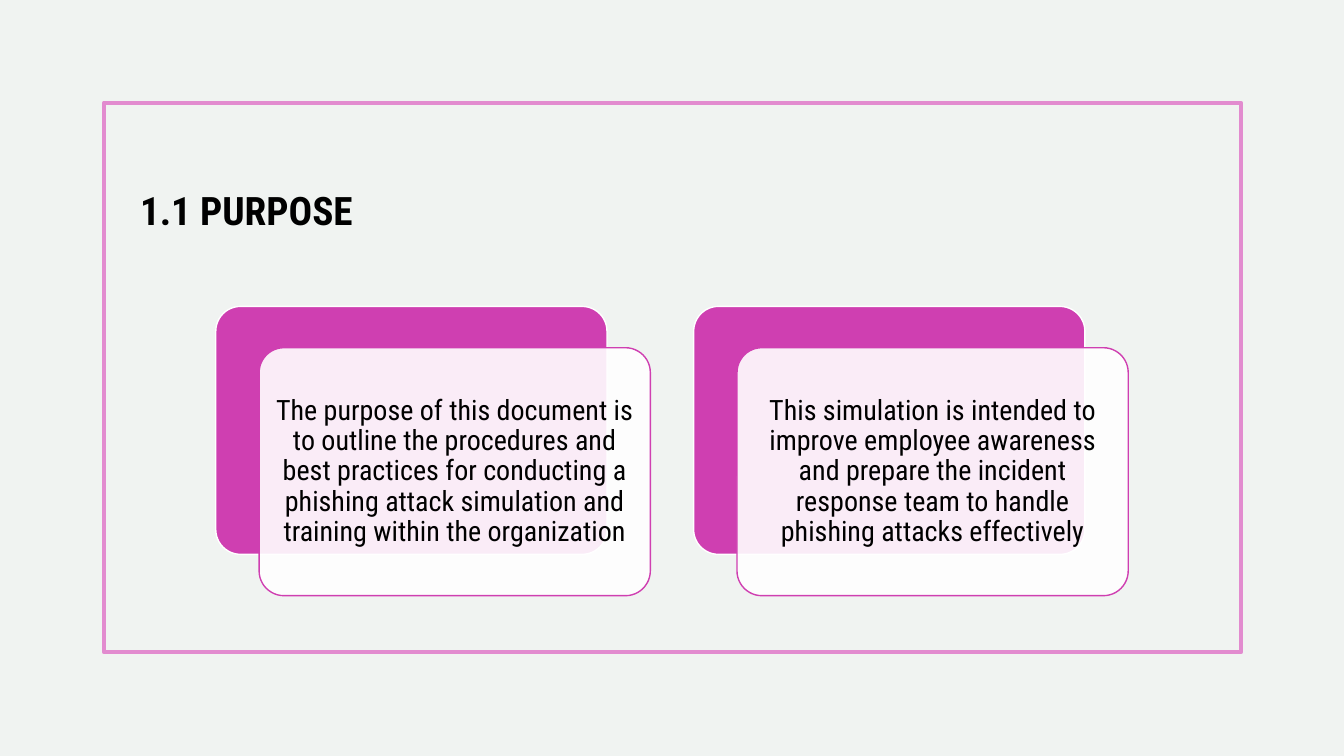
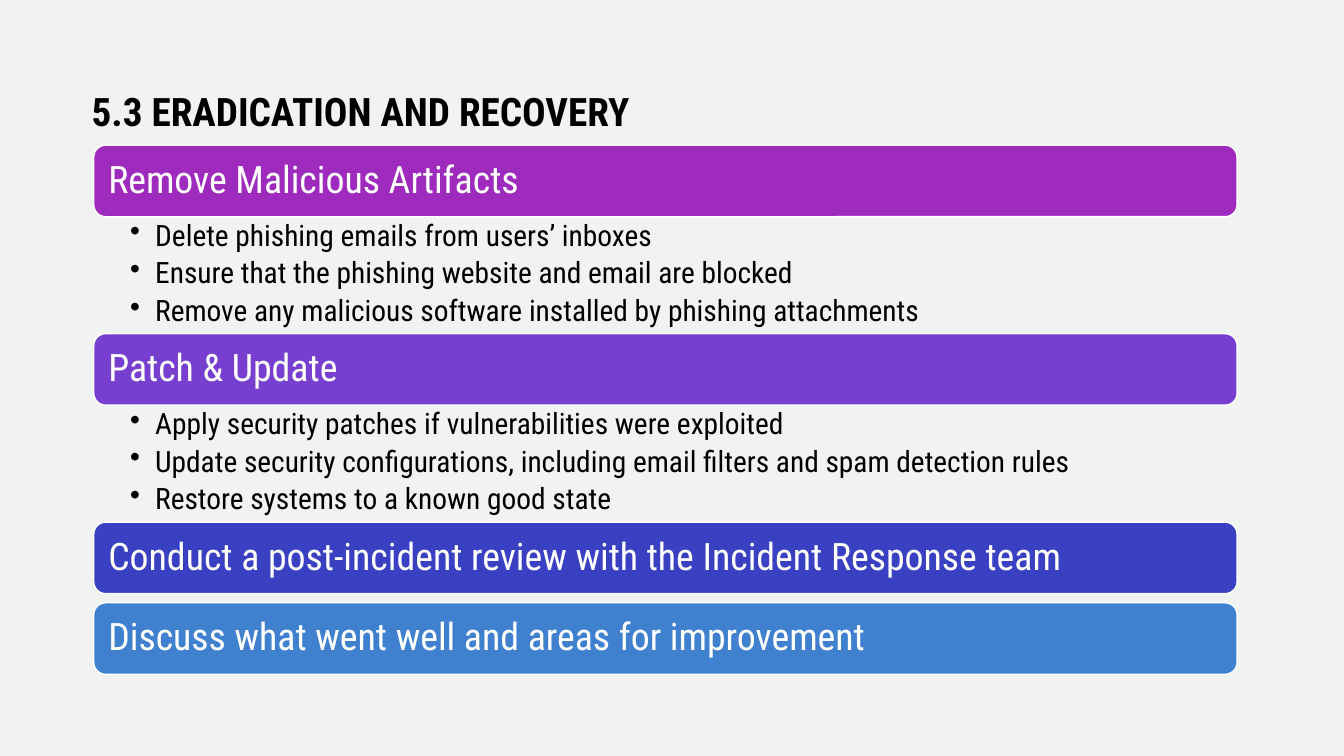
from lxml import etree
from pptx import Presentation
from pptx.dml.color import RGBColor
from pptx.enum.shapes import MSO_SHAPE
from pptx.enum.text import MSO_ANCHOR, PP_ALIGN
from pptx.oxml.ns import qn
from pptx.util import Inches, Pt

RECTANGLE, ROUNDED = MSO_SHAPE.RECTANGLE, MSO_SHAPE.ROUNDED_RECTANGLE
TOP, MIDDLE = MSO_ANCHOR.TOP, MSO_ANCHOR.MIDDLE
LEFT, CENTER = PP_ALIGN.LEFT, PP_ALIGN.CENTER

FONT = "Roboto Condensed"
BACKGROUND, BLACK, WHITE = "F0F3F1", "000000", "FFFFFF"
FRAME_PINK, CARD_PINK = "E28BCF", "CF3FB1"

PURPOSE_TITLE = "1.1 PURPOSE"
PURPOSES = [
    "The purpose of this document is to outline the procedures and best practices "
    "for conducting a phishing attack simulation and training within the organization",
    "This simulation is intended to improve employee awareness and prepare the "
    "incident response team to handle phishing attacks effectively",
]

RECOVERY_TITLE = "5.3 ERADICATION AND RECOVERY"
RECOVERY_STEPS = [
    ("Remove Malicious Artifacts", "9F2BBE", [
        "Delete phishing emails from users’ inboxes",
        "Ensure that the phishing website and email are blocked",
        "Remove any malicious software installed by phishing attachments",
    ]),
    ("Patch & Update", "763FCF", [
        "Apply security patches if vulnerabilities were exploited",
        "Update security configurations, including email filters and spam detection rules",
        "Restore systems to a known good state",
    ]),
    ("Conduct a post-incident review with the Incident Response team", "3940C2", []),
    ("Discuss what went well and areas for improvement", "3F81CF", []),
]


def rgb(value):
    return RGBColor.from_string(value)


def add_bullet(para, color):
    properties = para._p.get_or_add_pPr()
    properties.set("marL", str(Inches(0.25)))
    properties.set("indent", str(-Inches(0.25)))
    bullet_color = etree.SubElement(properties, qn("a:buClr"))
    etree.SubElement(bullet_color, qn("a:srgbClr"), val=color)
    etree.SubElement(properties, qn("a:buChar"), char="•")


def write(box, *lines, size, color=BLACK, bold=False, align=LEFT, anchor=MIDDLE,
          insets=(0.1, 0.05, 0.1, 0.05), spacing=0.9, gap=0, bullets=False):
    """Fill a box with one paragraph per line; insets run left, top, right, bottom."""
    frame = box.text_frame
    frame.word_wrap = True
    frame.vertical_anchor = anchor
    (frame.margin_left, frame.margin_top,
     frame.margin_right, frame.margin_bottom) = map(Inches, insets)
    for index, line in enumerate(lines):
        para = frame.add_paragraph() if index else frame.paragraphs[0]
        para.alignment = align
        para.line_spacing = spacing
        if bullets:
            para.level = 1
            add_bullet(para, BLACK)
        if index and gap:
            para.space_before = Pt(gap)
        span = para.add_run()
        span.text = line
        span.font.name = FONT
        span.font.size = Pt(size)
        span.font.bold = bold
        span.font.color.rgb = rgb(color)


def add_text(page, at, *lines, **style):
    write(page.shapes.add_textbox(*map(Inches, at)), *lines, **style)


def add_title(page, at, text, anchor):
    add_text(page, at, text, size=28, bold=True, spacing=1.2, anchor=anchor)


def add_panel(page, at, kind=ROUNDED, fill=None, opacity=100, line=WHITE, width=1,
              corner=0.1):
    panel = page.shapes.add_shape(kind, *map(Inches, at))
    panel.shadow.inherit = False
    panel.line.color.rgb = rgb(line)
    panel.line.width = Pt(width)
    if kind == ROUNDED:
        panel.adjustments[0] = corner
    if fill is None:
        panel.fill.background()
    else:
        panel.fill.solid()
        panel.fill.fore_color.rgb = rgb(fill)
    if opacity < 100:
        fill_color = panel.element.spPr.find(qn("a:solidFill"))[0]
        etree.SubElement(fill_color, qn("a:alpha"), val=str(opacity * 1000))
    return panel


def build_purpose(page):
    add_panel(page, (1.03, 1.02, 11.28, 5.45), kind=RECTANGLE, line=FRAME_PINK, width=3)
    add_title(page, (1.29, 1.42, 7.88, 1.23), PURPOSE_TITLE, MIDDLE)
    left, top, step = 2.14, 3.04, 4.74
    shift_right, shift_down = 0.43, 0.41
    card_size = (3.88, 2.46)
    for index, purpose in enumerate(PURPOSES):
        x = left + index * step
        add_panel(page, (x, top, *card_size), fill=CARD_PINK)
        card = add_panel(page, (x + shift_right, top + shift_down, *card_size),
                         fill=WHITE, opacity=90, line=CARD_PINK)
        write(card, purpose, size=20, align=CENTER, insets=[0.08] * 4)


def build_recovery(page):
    add_title(page, (0.81, 0.72, 7.42, 1.28), RECOVERY_TITLE, TOP)
    left, top, width = 0.93, 1.44, 11.34
    bar_height, details_height, bar_gap = 0.71, 1.16, 0.09
    for heading, color, details in RECOVERY_STEPS:
        bar = add_panel(page, (left, top, width, bar_height), fill=color, corner=0.167)
        write(bar, heading, size=27, color=WHITE, insets=[0.11] * 4)
        top += bar_height
        if details:
            add_text(page, (left, top, width, details_height), *details, size=21,
                     anchor=TOP, insets=(0.36, 0.04, 0.21, 0.04), gap=4.2, bullets=True)
        top += details_height if details else bar_gap


def main():
    deck = Presentation()
    deck.slide_width, deck.slide_height = Inches(13.33), Inches(7.5)
    backdrop = deck.slide_master.background.fill
    backdrop.solid()
    backdrop.fore_color.rgb = rgb(BACKGROUND)
    blank = deck.slide_layouts[6]
    for build in (build_purpose, build_recovery):
        build(deck.slides.add_slide(blank))
    deck.save("out.pptx")


if __name__ == "__main__":
    main()
